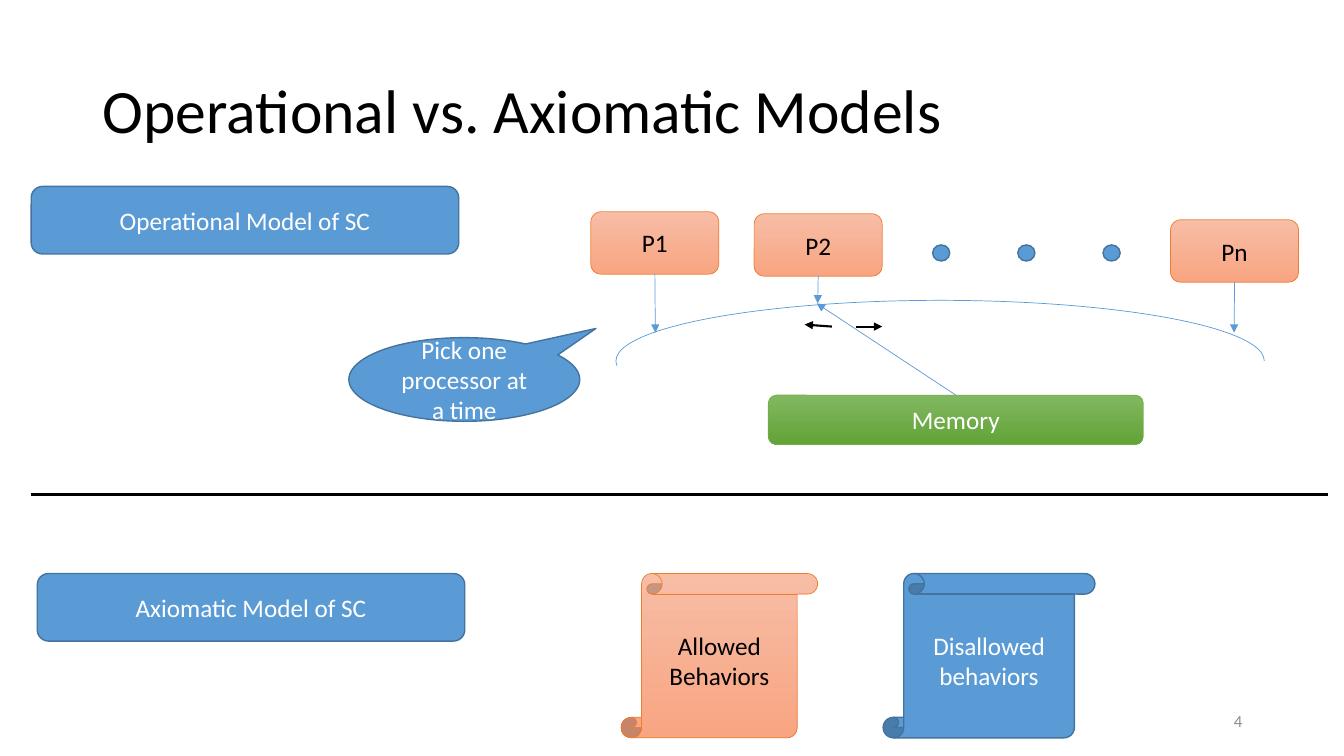
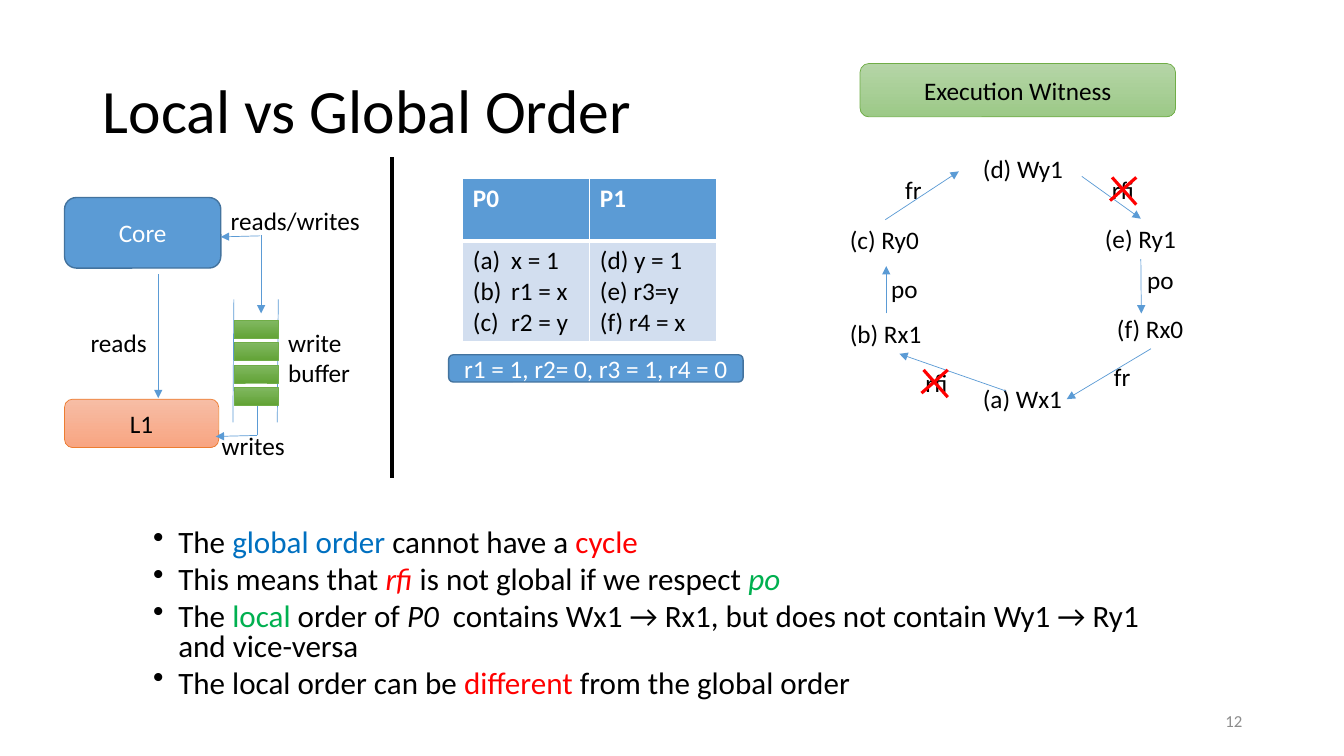
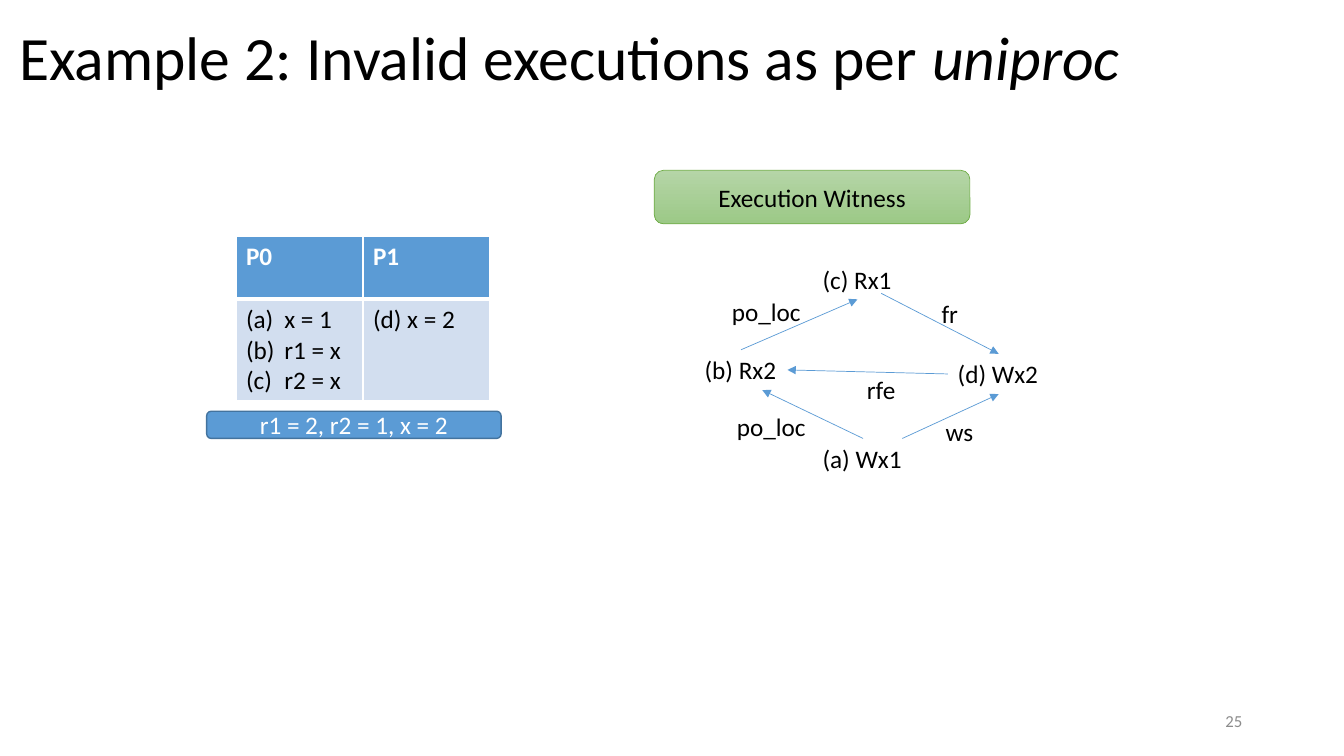
from dataclasses import dataclass
from typing import Optional, Union

from lxml import etree
from pptx import Presentation
from pptx import util as u
from pptx.dml.color import RGBColor
from pptx.enum import shapes, text
from pptx.oxml import ns
from pptx.shapes.autoshape import Shape
from pptx.shapes.connector import Connector
from pptx.slide import Slide

FONT = "Calibri"
BLACK, WHITE, GRAY = "000000", "FFFFFF", "8C8C8C"
BLUE, RED, GREEN, DEEP_BLUE = "5B9BD5", "FF0000", "00B050", "0070C0"
PALE_BLUE = "D2DEEF"
KIND = shapes.MSO_SHAPE
ALIGN = text.PP_ALIGN
TOP, LEFT, BOTTOM, RIGHT = range(4)

Point = tuple[float, float]
Area = tuple[float, float, float, float]


@dataclass(frozen=True)
class Look:
    fill: tuple[str, ...]
    edge: str
    edge_width: float
    ink: str


@dataclass(frozen=True)
class Span:
    text: str
    color: str = BLACK
    italic: bool = False


@dataclass(frozen=True)
class Label:
    text: str
    left: float
    top: float
    width: float


@dataclass(frozen=True)
class Joint:
    box: Shape
    side: int


@dataclass(frozen=True)
class Arrow:
    start: Union[Point, Joint]
    end: Union[Point, Joint]


SOLID = Look((BLUE,), "43739E", 1, WHITE)
ORANGE = Look(("F7BDA5", "F8A582"), "ED7D31", 0.5, BLACK)
LEAF = Look(("81B861", "62A336"), "70AD47", 0.5, WHITE)
PALE_LEAF = Look(("B5D5A7", "9CC987"), "70AD47", 0.5, BLACK)


def rgb(color: str) -> RGBColor:
    return RGBColor.from_string(color)


def inches(values) -> list[u.Length]:
    return [u.Inches(value) for value in values]


def write(para, words: str, *, size: float = 18, color: str = BLACK,
          bold: bool = False, italic: bool = False) -> None:
    for index, part in enumerate(words.split("\n")):
        if index:
            para.add_line_break()
        run = para.add_run()
        run.text = part
        font = run.font
        font.name, font.size = FONT, u.Pt(size)
        font.bold, font.italic = bold, italic
        font.color.rgb = rgb(color)


def add_mark(para, left: float, hang: float, tag: str, **attributes: str) -> None:
    props = para._p.get_or_add_pPr()
    props.set("marL", str(u.Inches(left)))
    props.set("indent", str(-u.Inches(hang)))
    etree.SubElement(props, ns.qn(tag), attributes)


def add_box(page: Slide, area: Area, look: Look, words: str = "",
            kind=KIND.ROUNDED_RECTANGLE) -> Shape:
    box = page.shapes.add_shape(kind, *inches(area))
    box.shadow.inherit = False
    if len(look.fill) == 1:
        box.fill.solid()
        box.fill.fore_color.rgb = rgb(look.fill[0])
    else:
        box.fill.gradient()
        box.fill.gradient_angle = 270
        for stop, color in zip(box.fill.gradient_stops, look.fill):
            stop.color.rgb = rgb(color)
    box.line.color.rgb = rgb(look.edge)
    box.line.width = u.Pt(look.edge_width)
    if words:
        para = box.text_frame.paragraphs[0]
        para.alignment = ALIGN.CENTER
        write(para, words, color=look.ink)
    return box


def add_label(page: Slide, label: Label) -> Shape:
    lines = label.text.split("\n")
    height = 0.1 + 0.3 * len(lines)
    box = page.shapes.add_textbox(*inches((label.left, label.top, label.width, height)))
    frame = box.text_frame
    frame.word_wrap = False
    frame.auto_size = text.MSO_AUTO_SIZE.SHAPE_TO_FIT_TEXT
    for index, words in enumerate(lines):
        para = frame.add_paragraph() if index else frame.paragraphs[0]
        write(para, words)
    return box


def add_labels(page: Slide, labels: list[Label]) -> list[Shape]:
    return [add_label(page, label) for label in labels]


def add_line(owner, start: Union[Point, Joint], end: Union[Point, Joint], *,
             color: str = BLUE, width: float = 0.5, arrow: bool = False) -> Connector:
    points = [(0, 0) if isinstance(tip, Joint) else tip for tip in (start, end)]
    line = owner.shapes.add_connector(
        shapes.MSO_CONNECTOR.STRAIGHT, *inches(points[0] + points[1]))
    if isinstance(start, Joint):
        line.begin_connect(start.box, start.side)
    if isinstance(end, Joint):
        line.end_connect(end.box, end.side)
    line.line.color.rgb = rgb(color)
    line.line.width = u.Pt(width)
    if arrow:
        etree.SubElement(line.line._get_or_add_ln(), ns.qn("a:tailEnd"), type="triangle")
    etree.SubElement(line._element.spPr, ns.qn("a:effectLst"))
    return line


def add_arrows(page: Slide, arrows: list[Arrow]) -> None:
    for arrow in arrows:
        add_line(page, arrow.start, arrow.end, arrow=True)


def add_cross(page: Slide, left: float, top: float) -> None:
    group = page.shapes.add_group_shape()
    for start, end in (((0, 0), (0.24, 0.27)), ((0.24, 0), (-0.02, 0.23))):
        add_line(group, (left + start[0], top + start[1]),
                 (left + end[0], top + end[1]), color=RED, width=2.25)


def add_page(deck, title: list[Span], number: int, corner: Point = (0.92, 0.4)) -> Slide:
    page = deck.slides.add_slide(deck.slide_layouts[5])
    box = page.shapes.title
    box.left, box.top, box.width, box.height = inches((*corner, 11.5, 1.45))
    frame = box.text_frame
    frame.vertical_anchor = text.MSO_ANCHOR.MIDDLE
    frame.auto_size = text.MSO_AUTO_SIZE.NONE
    para = frame.paragraphs[0]
    para.alignment, para.line_spacing = ALIGN.LEFT, 0.9
    for span in title:
        write(para, span.text, size=44, italic=span.italic)

    footer = page.shapes.add_textbox(*inches((9.42, 6.95, 3, 0.4))).text_frame
    footer.word_wrap = True
    footer.vertical_anchor = text.MSO_ANCHOR.MIDDLE
    footer.paragraphs[0].alignment = ALIGN.RIGHT
    write(footer.paragraphs[0], str(number), size=12, color=GRAY)
    return page


def set_borders(cell, bottom: float) -> None:
    props = cell._tc.get_or_add_tcPr()
    for index, (tag, width) in enumerate(
            (("a:lnL", 1), ("a:lnR", 1), ("a:lnT", 1), ("a:lnB", bottom))):
        edge = etree.Element(ns.qn(tag), w=str(u.Pt(width)))
        fill = etree.SubElement(edge, ns.qn("a:solidFill"))
        etree.SubElement(fill, ns.qn("a:srgbClr"), val=WHITE)
        props.insert(index, edge)


def add_program(page: Slide, left: float, top: float, first: list[str],
                second: list[str]) -> None:
    table = page.shapes.add_table(2, 2, *inches((left, top, 2.52, 1.62))).table
    for row, height in zip(table.rows, (0.62, 1)):
        row.height = u.Inches(height)
    for column, (name, code) in enumerate((("P0", first), ("P1", second))):
        table.columns[column].width = u.Inches(1.26)
        for row, lines in enumerate(([name], code)):
            cell = table.cell(row, column)
            cell.fill.solid()
            cell.fill.fore_color.rgb = rgb(PALE_BLUE if row else BLUE)
            set_borders(cell, 1 if row else 3)
            for index, words in enumerate(lines):
                frame = cell.text_frame
                para = frame.add_paragraph() if index else frame.paragraphs[0]
                if row and not column:
                    add_mark(para, 0.38, 0.38, "a:buAutoNum", type="alphaLcParenBoth")
                write(para, words, color=BLACK if row else WHITE, bold=not row)


def add_bullets(page: Slide, area: Area, bullets: list[list[Span]]) -> None:
    frame = page.shapes.add_textbox(*inches(area)).text_frame
    frame.word_wrap = True
    for index, spans in enumerate(bullets):
        para = frame.add_paragraph() if index else frame.paragraphs[0]
        para.line_spacing, para.space_before = 0.8, u.Pt(5)
        add_mark(para, 0.75, 0.25, "a:buChar", char="•")
        for span in spans:
            write(para, span.text, size=22.2, color=span.color, italic=span.italic)


def add_outcome(page: Slide, left: float, top: float, words: str) -> None:
    add_box(page, (left, top, 2.92, 0.27), SOLID, words)


def add_witness(page: Slide, left: float, top: float) -> None:
    add_box(page, (left, top, 3.13, 0.53), PALE_LEAF, "Execution Witness")


def build_models(deck) -> None:
    page = add_page(deck, [Span("Operational vs. Axiomatic Models")], 4)
    add_box(page, (0.31, 1.85, 4.24, 0.67), SOLID, "Operational Model of SC")
    first, second, last = [
        add_box(page, (left, top, 1.27, 0.62), ORANGE, name)
        for name, left, top in (("P1", 5.86, 2.1), ("P2", 7.48, 2.12), ("Pn", 11.61, 2.18))]
    for index in range(3):
        add_box(page, (9.25 + 0.845 * index, 2.43, 0.17, 0.16), SOLID, kind=KIND.OVAL)
    memory = add_box(page, (7.62, 3.92, 3.72, 0.49), LEAF, "Memory")

    arc = page.shapes.add_shape(KIND.ARC, *inches((6.11, 2.98, 6.43, 1.2)))
    arc.adjustments[0], arc.adjustments[1] = 107.47, 0
    arc.shadow.inherit = False
    arc.fill.background()
    arc.line.color.rgb = rgb(BLUE)
    arc.line.width = u.Pt(0.5)

    add_arrows(page, [
        Arrow(Joint(first, BOTTOM), (6.5, 3.3)),
        Arrow(Joint(second, BOTTOM), (8.11, 3.01)),
        Arrow(Joint(last, BOTTOM), (12.24, 3.3)),
        Arrow(Joint(memory, TOP), (8.1, 3.01)),
    ])
    for start, end in (((8.49, 3.24), (8.75, 3.24)), ((8.25, 3.24), (7.98, 3.22))):
        add_line(page, start, end, color=BLACK, width=1.5, arrow=True)

    add_box(page, (0.37, 5.69, 4.24, 0.67), SOLID, "Axiomatic Model of SC")
    callout = add_box(page, (3.46, 3.35, 2.29, 0.83), SOLID,
                      "Pick one processor at a time", KIND.OVAL_CALLOUT)
    callout.adjustments[0], callout.adjustments[1] = 0.57, -0.61
    add_box(page, (6.16, 5.69, 1.95, 1.63), ORANGE, "Allowed Behaviors", KIND.VERTICAL_SCROLL)
    add_box(page, (8.76, 5.69, 2.1, 1.63), SOLID, "Disallowed behaviors", KIND.VERTICAL_SCROLL)
    add_line(page, (0.31, 4.91), (13.17, 4.91), color=BLACK, width=2.25)


def build_orders(deck) -> None:
    page = add_page(deck, [Span("Local vs Global Order")], 12)
    add_bullets(page, (0.92, 5.21, 11.5, 1.83), [
        [Span("The "), Span("global order ", DEEP_BLUE), Span("cannot have a "),
         Span("cycle", RED)],
        [Span("This means that "), Span("rfi ", RED, True),
         Span("is not global if we respect "), Span("po", GREEN, True)],
        [Span("The "), Span("local", GREEN), Span(" order of "), Span("P0 ", italic=True),
         Span(" contains Wx1 → Rx1, but does not contain Wy1 → Ry1\nand vice-versa")],
        [Span("The local order can be "), Span("different", RED),
         Span(" from the global order")],
    ])
    add_program(page, 4.59, 1.77, ["x = 1", "r1 = x", "r2 = y"],
                ["(d) y = 1", "(e) r3=y", "(f) r4 = x"])
    add_outcome(page, 4.45, 3.52, "r1 = 1, r2= 0, r3 = 1, r4 = 0")
    add_witness(page, 8.53, 0.63)

    read_x1, read_y0, read_y1, read_x0 = add_labels(page, [
        Label("(b) Rx1", 8.33, 3.11, 0.92),
        Label("(c) Ry0", 8.33, 2.18, 0.9),
        Label("(e) Ry1", 10.86, 2.17, 0.91),
        Label("(f) Rx0", 10.98, 3.06, 0.87),
    ])
    add_labels(page, [
        Label("(a) Wx1", 9.65, 3.75, 1),
        Label("(d) Wy1", 9.65, 1.47, 1.01),
        Label("rfi", 9.08, 3.59, 0.42),
        Label("po", 8.74, 2.66, 0.47),
        Label("fr", 8.88, 1.68, 0.37),
        Label("rfi", 10.93, 1.68, 0.42),
        Label("po", 11.28, 2.57, 0.47),
        Label("fr", 10.95, 3.54, 0.37),
    ])
    add_arrows(page, [
        Arrow((9.98, 3.88), (8.92, 3.51)),
        Arrow(Joint(read_x1, TOP), (8.79, 2.64)),
        Arrow(Joint(read_y0, TOP), (9.51, 1.7)),
        Arrow((10.73, 1.75), Joint(read_y1, TOP)),
        Arrow(Joint(read_y1, BOTTOM), (11.32, 3.11)),
        Arrow(Joint(read_x0, BOTTOM), (10.58, 3.96)),
    ])
    add_cross(page, 9.16, 3.67)
    add_cross(page, 11.03, 1.76)

    add_box(page, (0.64, 1.96, 1.55, 0.7), SOLID, "Core")
    add_box(page, (0.64, 3.96, 1.53, 0.48), ORANGE, "L1")
    for left in (2.32, 2.76):
        add_line(page, (left, 2.97), (left - 0.01, 4.19))
    for index in range(4):
        add_box(page, (2.32, 3.18 + 0.22 * index, 0.44, 0.18), LEAF, kind=KIND.RECTANGLE)
    add_labels(page, [
        Label("write\nbuffer", 2.76, 3.2, 0.83),
        Label("reads", 0.8, 3.2, 0.76),
        Label("reads/writes", 2.19, 1.99, 1.49),
        Label("writes", 2.1, 4.22, 0.83),
    ])
    add_arrows(page, [
        Arrow((2.59, 2.33), (2.59, 3.11)),
        Arrow((2.58, 2.34), (2.19, 2.35)),
        Arrow((1.57, 2.72), (1.57, 3.95)),
        Arrow((2.55, 4.32), (2.14, 4.33)),
    ])
    add_line(page, (2.55, 4.03), (2.55, 4.32))
    add_line(page, (3.89, 1.56), (3.89, 4.74), color=BLACK, width=3)


def build_example(deck) -> None:
    title = [Span("Example 2: Invalid executions as per "), Span("uniproc", italic=True)]
    page = add_page(deck, title, 25, (0.09, -0.12))
    add_program(page, 2.34, 2.35, ["x = 1", "r1 = x", "r2 = x"], ["(d) x = 2"])
    add_outcome(page, 2.05, 4.08, "r1 = 2, r2 = 1, x = 2")
    add_witness(page, 6.49, 1.69)

    write_x1, read_x2, read_x1, write_x2 = add_labels(page, [
        Label("(a) Wx1", 8.06, 4.35, 1),
        Label("(b) Rx2", 6.89, 3.47, 0.92),
        Label("(c) Rx1", 8.06, 2.57, 0.89),
        Label("(d) Wx2", 9.4, 3.51, 1.01),
    ])
    add_labels(page, [
        Label("po_loc", 7.21, 4.03, 0.89),
        Label("po_loc", 7.16, 2.89, 0.89),
        Label("fr", 9.24, 2.91, 0.37),
        Label("ws", 9.28, 4.08, 0.48),
        Label("rfe", 8.5, 3.66, 0.49),
    ])
    add_arrows(page, [
        Arrow(Joint(write_x1, TOP), (7.56, 3.87)),
        Arrow(Joint(read_x2, TOP), Joint(read_x1, BOTTOM)),
        Arrow((8.74, 2.91), Joint(write_x2, TOP)),
        Arrow((8.95, 4.35), Joint(write_x2, BOTTOM)),
        Arrow(Joint(write_x2, LEFT), Joint(read_x2, RIGHT)),
    ])


def main() -> None:
    deck = Presentation()
    deck.slide_width, deck.slide_height = u.Inches(13.33), u.Inches(7.5)
    build_models(deck)
    build_orders(deck)
    build_example(deck)
    deck.save("out.pptx")


if __name__ == "__main__":
    main()
